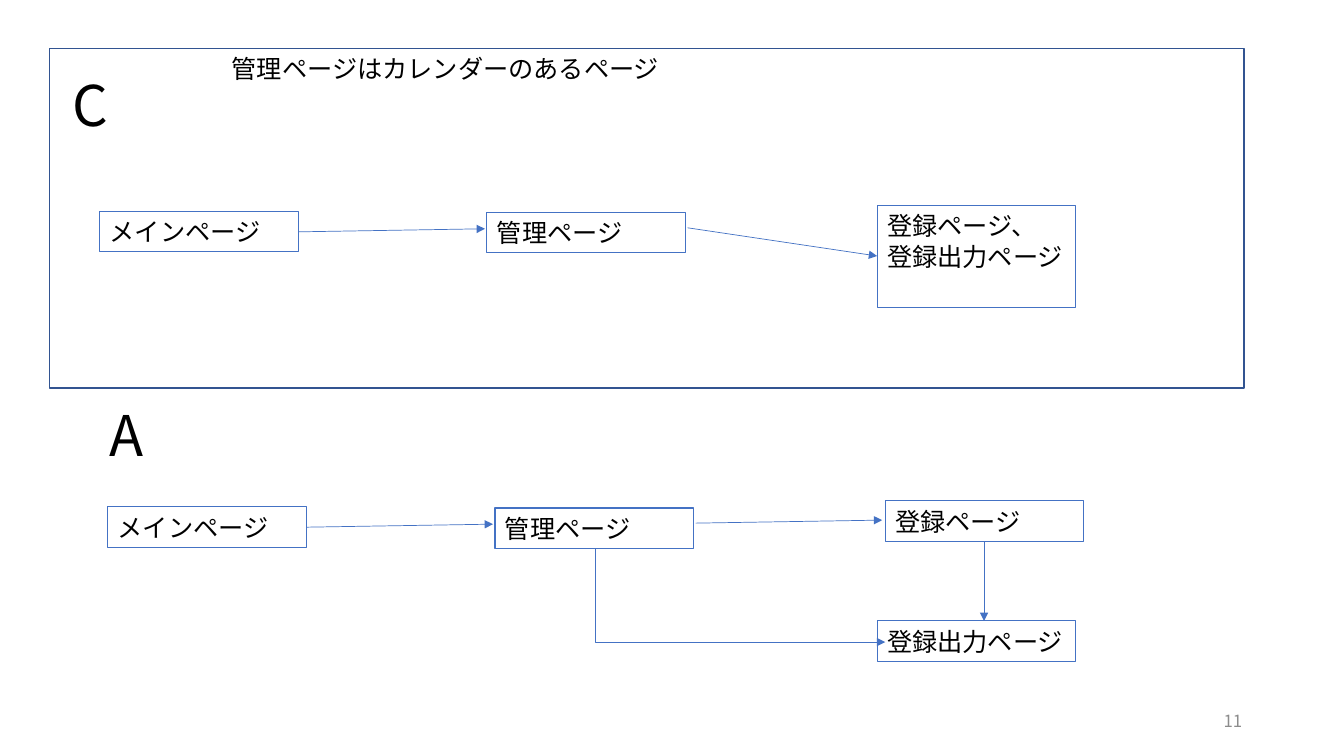
from dataclasses import dataclass
from lxml import etree
from pptx import Presentation
from pptx.dml.color import RGBColor as RGB
from pptx.enum.shapes import MSO_CONNECTOR as Conn, MSO_SHAPE as Shape
from pptx.enum.text import MSO_ANCHOR as Anchor, PP_ALIGN as Align
from pptx.oxml.ns import qn
from pptx.util import Inches, Pt


@dataclass(frozen=True)
class Theme:
    font: str = "Noto Sans CJK JP"
    ink: str = "000000"
    blue: str = "4472C4"
    navy: str = "325491"
    gray: str = "8C8C8C"
    body: int = 18
    head: int = 40
    small: int = 12


theme = Theme()
WIDE, HIGH = 1.97, 0.4
SHIFT = (0.08, 2.93)

FRAME = (0.49, 0.48, 11.85, 3.37)
HEADS = [("C", 0.62, 0.65), ("A", 0.99, 3.92)]
NOTE = ("管理ページはカレンダーのあるページ", 2.2, 0.48, 4.46)
NUMBER = ("11", 9.42, 6.95, 3)

FLOW = [("メインページ", 0.99, 2.1), ("管理ページ", 4.83, 2.11)]
LINK = (2.96, 2.3, 4.81, 2.27)
ENDS = [
    ("登録ページ、\n登録出力ページ", 8.7, 2.04, 1.01),
    ("登録ページ", 8.78, 4.97, HIGH),
    ("登録出力ページ", 8.7, 6.16, HIGH),
]
LINKS = [
    (6.82, 2.26, 8.7, 2.54),
    (6.9, 5.19, 8.75, 5.16),
    (9.76, 5.38, 9.76, 6.16),
]
BEND = (5.9, 5.45, 8.78, 6.37)

deck = Presentation()
deck.slide_width, deck.slide_height = Inches(13.33), Inches(7.5)
slide = deck.slides.add_slide(deck.slide_layouts[6])
shapes = slide.shapes


def write(text, x, y, wide=WIDE, high=HIGH, size=theme.body, color=theme.ink,
          align=Align.LEFT, anchor=Anchor.TOP, edge=None):
    box = shapes.add_textbox(*map(Inches, (x, y, wide, high)))
    if edge:
        box.line.color.rgb = RGB.from_string(edge)
        box.line.width = Pt(0.75)
    frame = box.text_frame
    frame.word_wrap = True
    frame.vertical_anchor = anchor
    frame.text = text
    for para in frame.paragraphs:
        para.alignment = align
        for run in para.runs:
            run.font.size = Pt(size)
            run.font.name = theme.font
            run.font.color.rgb = RGB.from_string(color)
            east = etree.SubElement(run.font._element, qn("a:ea"))
            east.set("typeface", theme.font)


def arrow(x1, y1, x2, y2, kind=Conn.STRAIGHT):
    line = shapes.add_connector(kind, *map(Inches, (x1, y1, x2, y2)))
    line.line.color.rgb = RGB.from_string(theme.blue)
    line.line.width = Pt(0.5)
    tip = etree.SubElement(line.line._get_or_add_ln(), qn("a:tailEnd"))
    tip.set("type", "triangle")
    etree.SubElement(line._element.spPr, qn("a:effectLst"))
    return line


def bend(x1, y1, x2, y2):
    midx, midy = (x1 + x2) / 2, (y1 + y2) / 2
    halfw, halfh = (y2 - y1) / 2, (x2 - x1) / 2
    line = arrow(midx + halfw, midy - halfh, midx - halfw, midy + halfh, Conn.ELBOW)
    props = line._element.spPr
    props.find(qn("a:xfrm")).set("rot", str(270 * 60000))
    props.find(qn("a:prstGeom")).set("prst", "bentConnector2")


for dx, dy in [(0, 0), SHIFT]:
    for text, x, y in FLOW:
        write(text, x + dx, y + dy, edge=theme.blue)
    x1, y1, x2, y2 = LINK
    arrow(x1 + dx, y1 + dy, x2 + dx, y2 + dy)

for text, x, y, high in ENDS:
    write(text, x, y, high=high, edge=theme.blue)
for link in LINKS:
    arrow(*link)
bend(*BEND)

for text, x, y in HEADS:
    write(text, x, y, high=0.77, size=theme.head)
write(*NOTE)

panel = shapes.add_shape(Shape.RECTANGLE, *map(Inches, FRAME))
panel.shadow.inherit = False
panel.fill.background()
panel.line.color.rgb = RGB.from_string(theme.navy)
panel.line.width = Pt(1)

write(*NUMBER, size=theme.small, color=theme.gray, align=Align.RIGHT,
      anchor=Anchor.MIDDLE)

deck.save("out.pptx")
